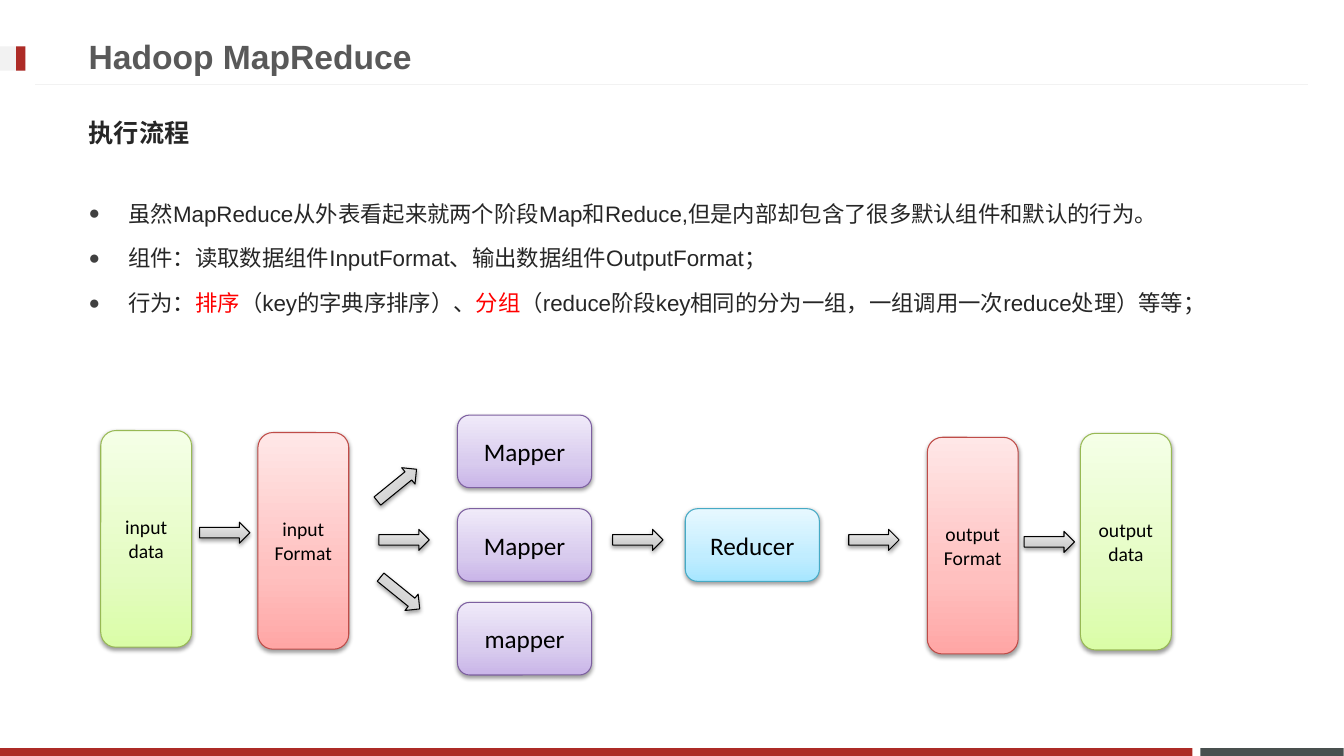
from copy import deepcopy

from lxml import etree
from pptx import Presentation
from pptx.dml.color import RGBColor
from pptx.enum.lang import MSO_LANGUAGE_ID
from pptx.enum.shapes import MSO_CONNECTOR, MSO_SHAPE
from pptx.enum.text import MSO_ANCHOR, MSO_AUTO_SIZE, PP_ALIGN
from pptx.oxml.ns import qn
from pptx.util import Cm, Pt

RECT, ROUND, ARROW = MSO_SHAPE.RECTANGLE, MSO_SHAPE.ROUNDED_RECTANGLE, MSO_SHAPE.RIGHT_ARROW
LEFT, CENTER = PP_ALIGN.LEFT, PP_ALIGN.CENTER
TOP, MIDDLE = MSO_ANCHOR.TOP, MSO_ANCHOR.MIDDLE
CHINESE = MSO_LANGUAGE_ID.SIMPLIFIED_CHINESE
CJK = "Noto Sans CJK JP"
DARK, RED = "262626", "FF0000"

TITLE = "Hadoop MapReduce"
SUBTITLE = "执行流程"
BULLETS = [
    [("虽然MapReduce从外表看起来就两个阶段Map和Reduce,但是内部却包含了很多默认组件和默认的行为。", DARK)],
    [("组件：读取数据组件InputFormat、输出数据组件OutputFormat；", DARK)],
    [("行为：", DARK), ("排序", RED), ("（key的字典序排序）、", DARK), ("分组", RED),
     ("（reduce阶段key相同的分为一组，一组调用一次reduce处理）等等；", DARK)],
]

# Theme: line colour, then gradient stops from bottom to top
GREEN = ("98B955", "DAFDA7", "E4FCC2", "F5FFE7")
PINK = ("BF4C48", "FFA6A5", "FFC0BF", "FFE7E7")
PURPLE = ("7D60A0", "C9B5E8", "D8CBEE", "F0EAF9")
BLUE = ("46AAC5", "A7E6FF", "C1EDFF", "E7F8FF")
GREY = ("000000", "BDBDBD", "D1D1D1", "EEEEEE")
STOPS = (0, 0.35, 1)

# Sizes and positions in centimetres
TALL, WIDE, ARROW_SIZE = (2.29, 5.46), (3.38, 1.83), (1.27, 0.53)
MAPPER_X, MAPPER_Y, MAPPER_STEP = 11.53, 10.46, 2.36
REDUCER_X, FLOW_Y = 17.27, 13.34

DATA_BOXES = [
    (["input", "data"], 2.54, 10.85, GREEN),
    (["input", "Format"], 6.5, 10.9, PINK),
    (["output", "Format"], 23.37, 11.02, PINK),
    (["output", "data"], 27.23, 10.92, GREEN),
]
MAPPERS = ["Mapper", "Mapper", "mapper"]
ARROWS = [(5.03, 13.16, 0), (9.37, 11.96, -39.1), (9.55, FLOW_Y, 0), (9.45, 14.68, 39),
          (15.44, FLOW_Y, 0), (21.39, FLOW_Y, 0), (25.81, 13.39, 0)]
BARS = [(30.25, 18.85, 3.61, 0.2, "49504F"), (0, 18.85, 30.05, 0.2, "AD2B26"),
        (0, 1.17, 0.64, 0.61, "F2F2F2"), (0.41, 1.17, 0.23, 0.61, "AD2B26")]


def rgb(value):
    return RGBColor.from_string(value)


def add_run(p, text, size=16, color=DARK, font="Arial", bold=False, east_asian=False):
    r = p.add_run()
    r.text = text
    r.font.size, r.font.bold, r.font.name = Pt(size), bold, font
    r.font.color.rgb = rgb(color)
    if east_asian:
        r.font.language_id = CHINESE
        etree.SubElement(r.font._element, qn("a:ea"), typeface=CJK)


def set_bullet(p, char=None):
    """Give the paragraph a hanging bullet, or none at all."""
    pPr = p._p.get_or_add_pPr()
    indent = Cm(1) if char else 0
    pPr.set("marL", str(indent))
    pPr.set("indent", str(-indent))
    if not char:
        etree.SubElement(pPr, qn("a:buNone"))
        return
    color = etree.SubElement(pPr, qn("a:buClr"))
    etree.SubElement(color, qn("a:srgbClr"), val="404040")
    etree.SubElement(pPr, qn("a:buSzPct"), val="85000")
    etree.SubElement(pPr, qn("a:buFont"), typeface="Arial")
    etree.SubElement(pPr, qn("a:buChar"), char=char)


def place(sp, left, top, width, height, anchor):
    sp.left, sp.top, sp.width, sp.height = Cm(left), Cm(top), Cm(width), Cm(height)
    tf = sp.text_frame
    tf.word_wrap, tf.auto_size, tf.vertical_anchor = True, MSO_AUTO_SIZE.NONE, anchor
    return tf


def add_bar(s, left, top, width, height, color):
    sp = s.shapes.add_shape(RECT, Cm(left), Cm(top), Cm(width), Cm(height))
    sp.shadow.inherit = False
    sp.fill.solid()
    sp.fill.fore_color.rgb = rgb(color)
    sp.line.fill.background()


def add_block(s, shape, left, top, size, theme, lines=(), font_size=18, rotation=0):
    """Add a shape with a vertical gradient, a soft shadow and centred lines."""
    sp = s.shapes.add_shape(shape, Cm(left), Cm(top), Cm(size[0]), Cm(size[1]))
    sp.rotation = rotation
    line_color, *colors = theme
    sp.line.color.rgb, sp.line.width = rgb(line_color), Pt(0.75)

    sp.fill.gradient()
    sp.fill.gradient_angle = 90
    spPr = sp._element.spPr
    stops = spPr.find(".//" + qn("a:gsLst"))
    stops.insert(1, deepcopy(stops[0]))
    for stop, position, color in zip(sp.fill.gradient_stops, STOPS, colors):
        stop.position, stop.color.rgb = position, rgb(color)

    sp.shadow.inherit = False
    shadow = etree.SubElement(spPr.find(qn("a:effectLst")), qn("a:outerShdw"), blurRad="40000",
                              dist="20000", dir="5400000", rotWithShape="0")
    shade = etree.SubElement(shadow, qn("a:srgbClr"), val="000000")
    etree.SubElement(shade, qn("a:alpha"), val="38000")

    tf = sp.text_frame
    tf.word_wrap, tf.vertical_anchor = True, MIDDLE
    for i, text in enumerate(lines):
        p = tf.add_paragraph() if i else tf.paragraphs[0]
        p.alignment = CENTER
        add_run(p, text, font_size, "000000", "Calibri")


def add_texts(s):
    title, body, subtitle = s.placeholders
    p = place(title, 1.98, 0.69, 24.36, 1.45, MIDDLE).paragraphs[0]
    p.alignment = LEFT
    add_run(p, TITLE, 24, "595959", bold=True)

    p = place(subtitle, 1.98, 2.62, 29.87, 1.45, MIDDLE).paragraphs[0]
    set_bullet(p)
    p.space_before = Pt(0)
    add_run(p, SUBTITLE, 18, font=CJK, bold=True, east_asian=True)

    tf = place(body, 1.98, 4.57, 29.87, 11.71, TOP)
    for i, runs in enumerate(BULLETS):
        p = tf.add_paragraph() if i else tf.paragraphs[0]
        set_bullet(p, "●")
        p.line_spacing, p.space_before = 1.5, Pt(3.2 if i else 0)
        for text, color in runs:
            add_run(p, text, color=color, east_asian=True)


def add_frame(s):
    for bar in BARS:
        add_bar(s, *bar)
    rule = s.shapes.add_connector(MSO_CONNECTOR.STRAIGHT, Cm(0.89), Cm(2.13), Cm(32.97), Cm(2.13))
    rule.line.color.rgb, rule.line.width = rgb("F2F2F2"), Pt(0.75)
    etree.SubElement(rule._element.spPr, qn("a:effectLst"))


def add_flow(s):
    for lines, left, top, theme in DATA_BOXES:
        add_block(s, ROUND, left, top, TALL, theme, lines, 14)
    for i, name in enumerate(MAPPERS):
        add_block(s, ROUND, MAPPER_X, MAPPER_Y + i * MAPPER_STEP, WIDE, PURPLE, [name])
    add_block(s, ROUND, REDUCER_X, MAPPER_Y + MAPPER_STEP, WIDE, BLUE, ["Reducer"])
    for left, top, rotation in ARROWS:
        add_block(s, ARROW, left, top, ARROW_SIZE, GREY, rotation=rotation)


def main():
    prs = Presentation()
    prs.slide_width, prs.slide_height = Cm(33.87), Cm(19.05)
    s = prs.slides.add_slide(prs.slide_layouts[3])
    add_texts(s)
    add_frame(s)
    add_flow(s)
    prs.save("out.pptx")


if __name__ == "__main__":
    main()
